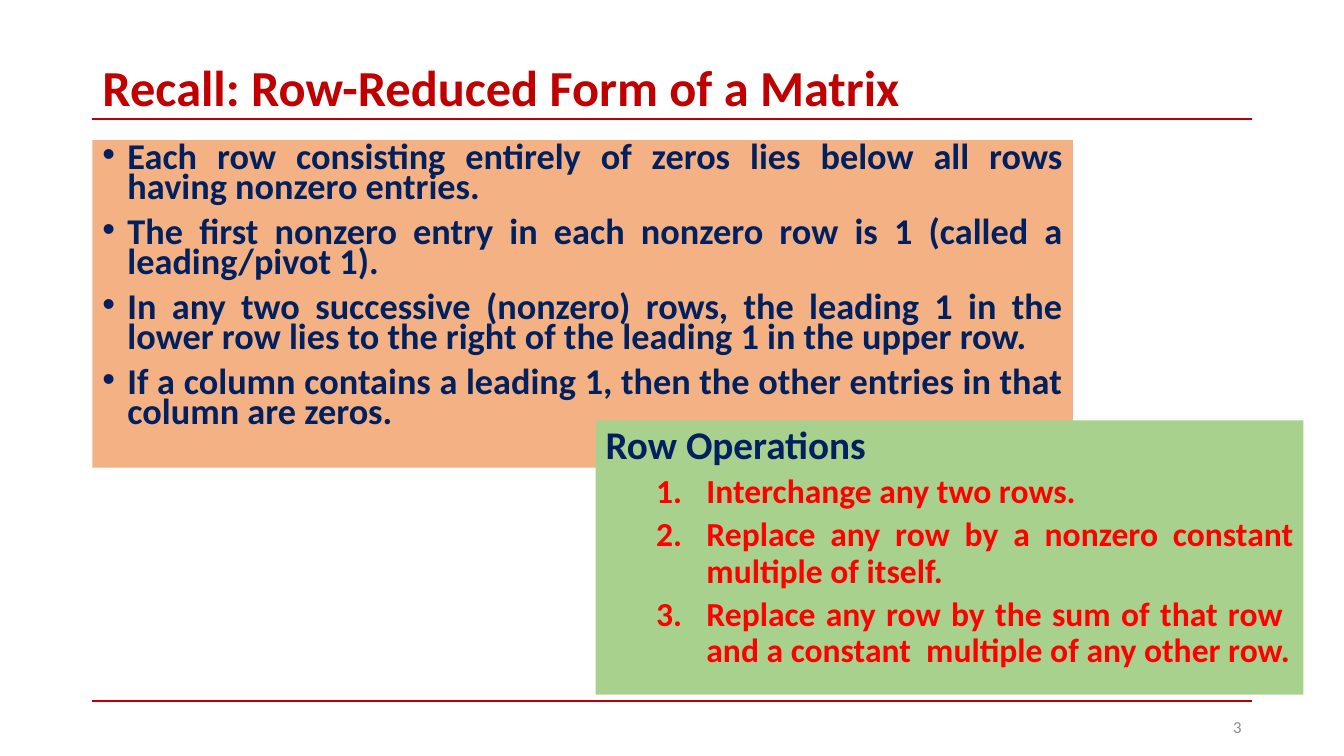
from dataclasses import dataclass

from lxml import etree
from pptx import Presentation
from pptx.dml.color import RGBColor
from pptx.enum.shapes import MSO_CONNECTOR
from pptx.enum.text import MSO_ANCHOR, PP_ALIGN
from pptx.oxml.ns import qn
from pptx.util import Pt

LINE = MSO_CONNECTOR.STRAIGHT
MID, TOP = MSO_ANCHOR.MIDDLE, MSO_ANCHOR.TOP
LEFT, RIGHT, FULL = PP_ALIGN.LEFT, PP_ALIGN.RIGHT, PP_ALIGN.JUSTIFY


@dataclass(frozen=True)
class Theme:
    font: str = "Calibri"
    red: str = "C00000"
    navy: str = "002060"
    bright: str = "FF0000"
    gray: str = "8C8C8C"
    peach: str = "F4B183"
    green: str = "A9D18E"
    title: float = 36
    rule: float = 25.9
    head: float = 28
    step: float = 24
    small: float = 12


THEME = Theme()

TITLE = "Recall: Row-Reduced Form of a Matrix"
RULES = [
    "Each row consisting entirely of zeros lies below all rows having nonzero entries.",
    "The first nonzero entry in each nonzero row is 1 (called a leading/pivot 1).",
    "In any two successive (nonzero) rows, the leading 1 in the lower row lies "
    "to the right of the leading 1 in the upper row.",
    "If a column contains a leading 1, then the other entries in that column are zeros.",
]
STEPS = [
    "Interchange any two rows.",
    "Replace any row by a nonzero constant multiple of itself.",
    "Replace any row by the sum of that row  and a constant  multiple of any other row.",
]


def style(para, size, color, bold=True, align=FULL, lead=0.9, gap=0):
    para.alignment, para.line_spacing = align, lead
    para.space_before = Pt(gap)
    for run in para.runs:
        font = run.font
        font.name, font.size, font.bold = THEME.font, Pt(size), bold
        font.color.rgb = RGBColor.from_string(color)


def mark(para, tag, left, hang, **attrs):
    """Give a paragraph a hanging bullet or number."""
    props = para._p.get_or_add_pPr()
    props.set("marL", str(Pt(left)))
    props.set("indent", str(-Pt(hang)))
    if tag == "a:buChar":
        etree.SubElement(props, qn("a:buFont")).set("typeface", "Arial")
    etree.SubElement(props, qn(tag), attrs)


def add_box(slide, box, lines, fill=None, anchor=TOP):
    """Add a text box and return its paragraphs."""
    shape = slide.shapes.add_textbox(*map(Pt, box))
    if fill:
        shape.fill.solid()
        shape.fill.fore_color.rgb = RGBColor.from_string(fill)
    frame = shape.text_frame
    frame.word_wrap, frame.vertical_anchor = True, anchor
    frame.text = "\n".join(lines)
    return frame.paragraphs


def add_rule(slide, left, top, width):
    line = slide.shapes.add_connector(
        LINE, Pt(left), Pt(top), Pt(left + width), Pt(top))
    line.line.color.rgb = RGBColor.from_string(THEME.red)
    line.line.width = Pt(1.5)
    etree.SubElement(line._element.spPr, qn("a:effectLst"))


def add_title(slide, box):
    title = slide.shapes.title
    title.left, title.top, title.width, title.height = map(Pt, box)
    frame = title.text_frame
    frame.text = TITLE
    frame.vertical_anchor = MID
    style(frame.paragraphs[0], THEME.title, THEME.red, align=LEFT)


def add_rules(slide, box):
    for para in add_box(slide, box, RULES, THEME.peach):
        style(para, THEME.rule, THEME.navy, lead=0.7, gap=10)
        mark(para, "a:buChar", 18, 18, char="•")


def add_steps(slide, box):
    head, *steps = add_box(slide, box, ["Row Operations", *STEPS], THEME.green)
    style(head, THEME.head, THEME.navy, gap=10)
    for para in steps:
        para.level = 1
        style(para, THEME.step, THEME.bright, gap=5)
        mark(para, "a:buAutoNum", 72, 36, type="arabicPeriod")


def add_number(slide, box):
    para = add_box(slide, box, ["3"], anchor=MID)[0]
    style(para, THEME.small, THEME.gray, bold=False, align=RIGHT, lead=1)


def main():
    deck = Presentation()
    deck.slide_width, deck.slide_height = Pt(960), Pt(540)
    slide = deck.slides.add_slide(deck.slide_layouts[5])
    left, width = 66, 828

    # Frame: rules above and below the content
    for top in (85, 500.5):
        add_rule(slide, left, top, width)

    # Heading and content
    add_title(slide, (left, 44, width, 41.5))
    add_rules(slide, (left, 100, 700.5, 234))
    add_number(slide, (left + width - 216, 505, 216, 28.75))
    add_steps(slide, (425.5, 300.25, 505.5, 196))

    deck.save("out.pptx")


if __name__ == "__main__":
    main()
